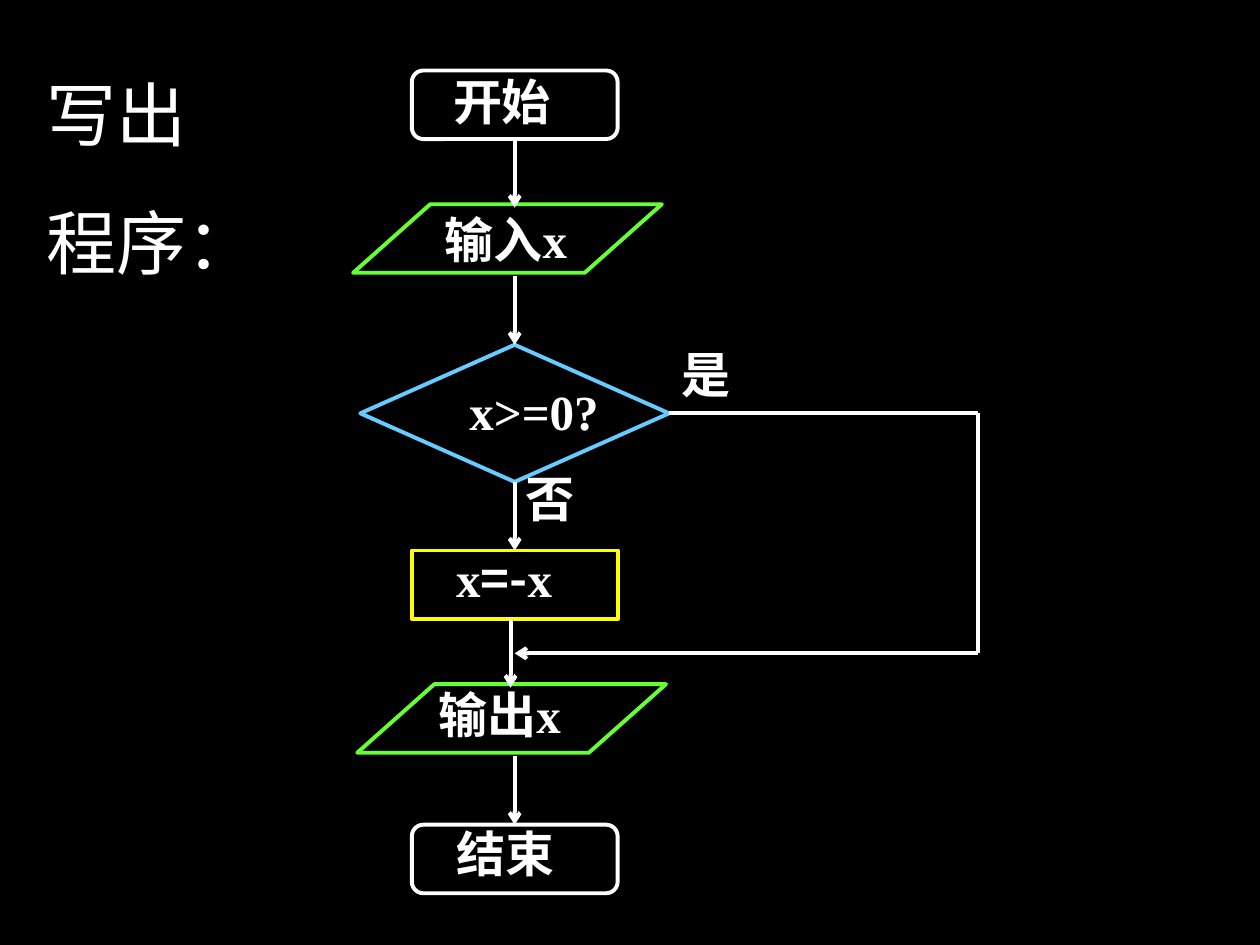
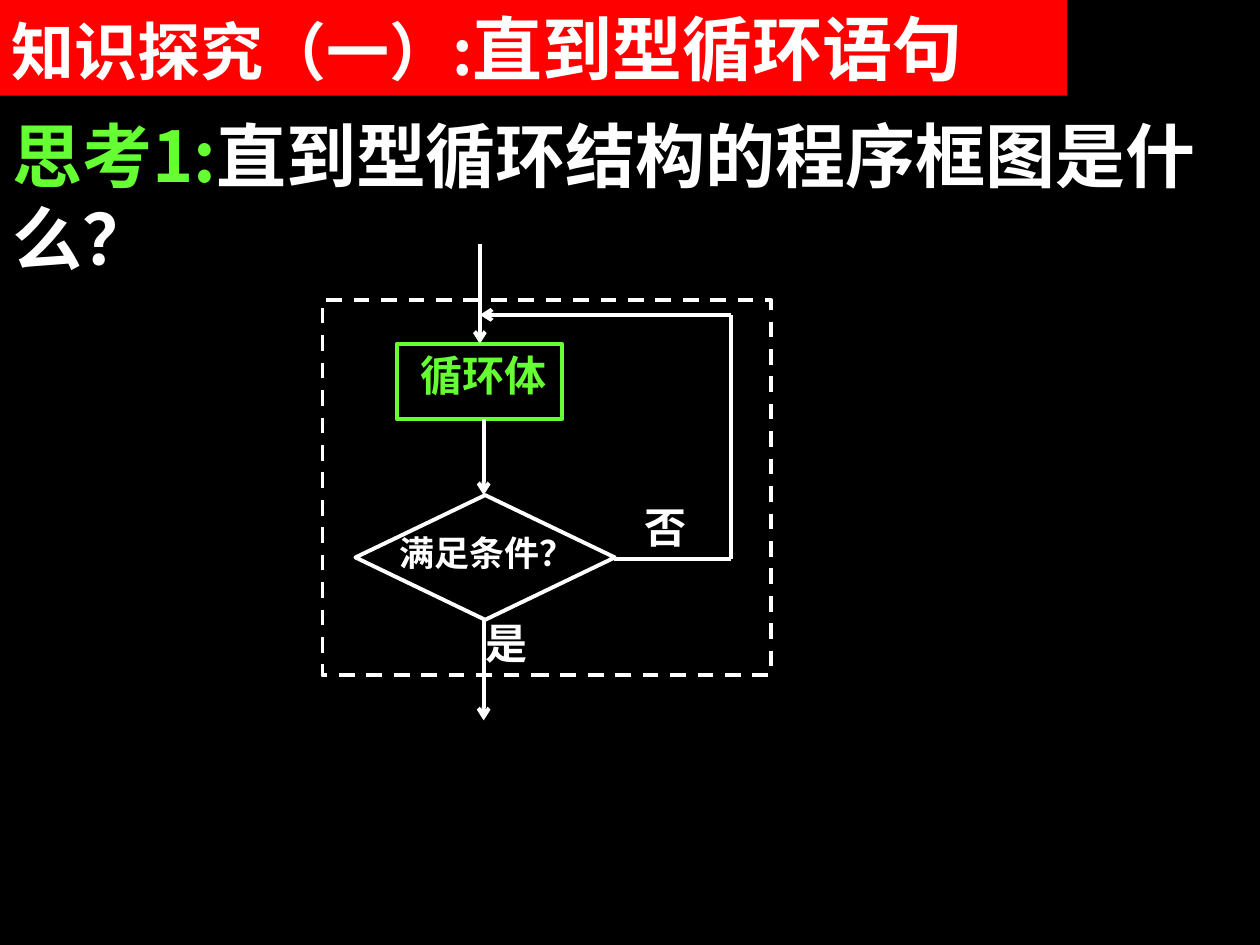
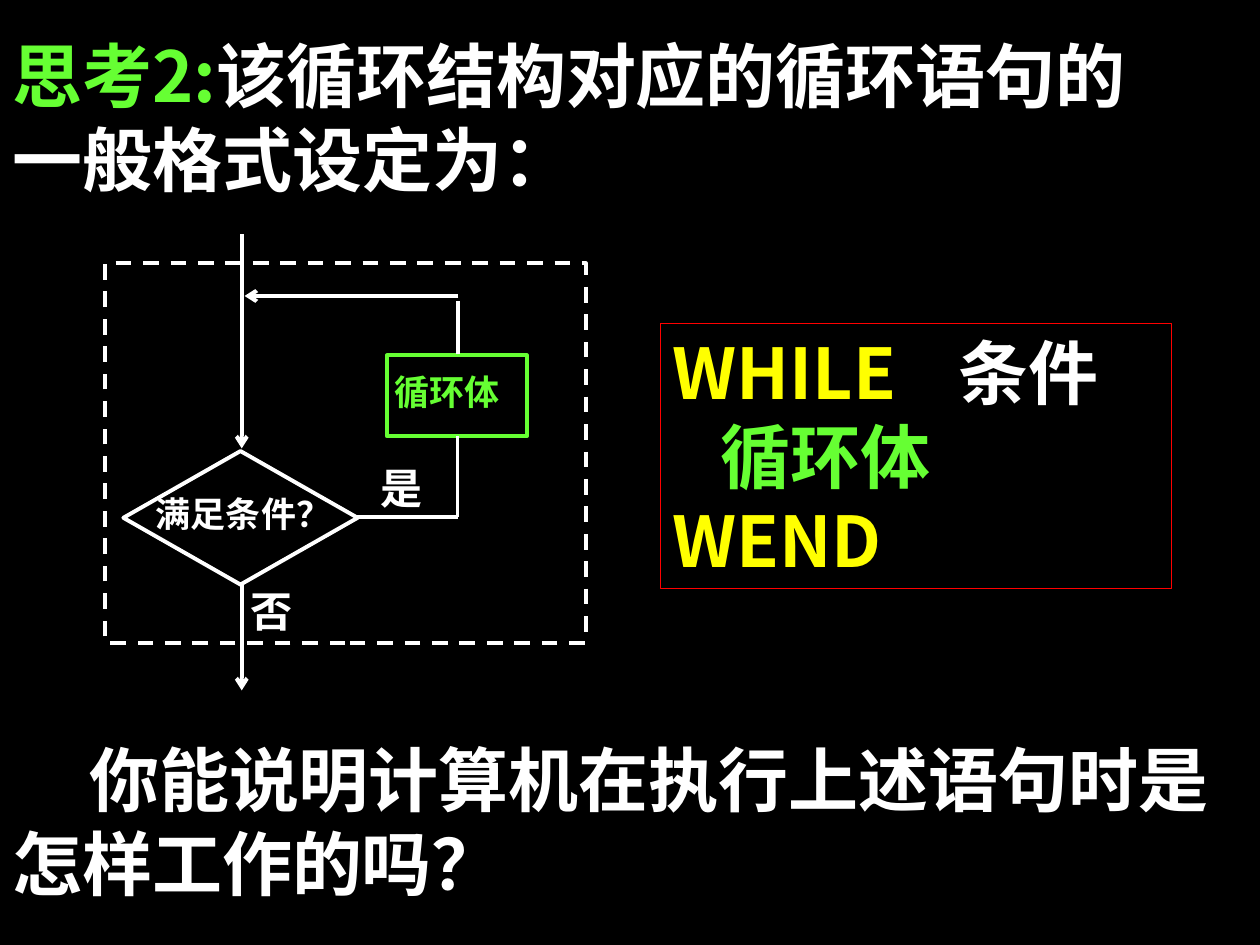
import pptx
import pptx.dml.color
import pptx.enum.dml
import pptx.enum.shapes
import pptx.enum.text
import pptx.oxml.ns
import pptx.util
from lxml import etree

BLACK, WHITE, RED = "000000", "FFFFFF", "FF0000"
GREEN, YELLOW, BLUE = "66FF33", "FFFF00", "66CCFF"
SANS, LATIN, SERIF = "Noto Sans CJK SC", "Arial", "Times New Roman"
HEADING_SIZE = 40
LINE_WIDTH = 2.25
SHAPES = pptx.enum.shapes.MSO_SHAPE
qualified = pptx.oxml.ns.qn


def inches(*lengths):
    return [pptx.util.Inches(length) for length in lengths]


def color(hex_string):
    return pptx.dml.color.RGBColor.from_string(hex_string)


# Text
def write_paragraph(paragraph, runs, size, font=SANS, text_color=WHITE,
                    bold=True, space_before=0, indent=0, tab=None):
    """Each run is (text, overrides); overrides may hold color, font and size."""
    properties = paragraph._p.get_or_add_pPr()
    if indent:
        properties.set("marL", "0")
        properties.set("indent", str(pptx.util.Inches(indent)))
    if tab:
        tab_list = etree.SubElement(properties, qualified("a:tabLst"))
        etree.SubElement(tab_list, qualified("a:tab"),
                         pos=str(pptx.util.Inches(tab)), algn="l")
    paragraph.alignment = pptx.enum.text.PP_ALIGN.LEFT
    paragraph.space_before = pptx.util.Pt(space_before)
    paragraph.font.name = font
    paragraph.font.size = pptx.util.Pt(size)
    paragraph.font.bold = bold
    paragraph.font.color.rgb = color(text_color)
    defaults = properties.find(qualified("a:defRPr"))
    etree.SubElement(defaults, qualified("a:ea"), typeface=SANS)
    for text, overrides in runs:
        run = paragraph.add_run()
        run.text = text
        if "color" in overrides:
            run.font.color.rgb = color(overrides["color"])
        if "font" in overrides:
            run.font.name = overrides["font"]
        if "size" in overrides:
            run.font.size = pptx.util.Pt(overrides["size"])


def write_text(shape, paragraphs, size, gap=0, **style):
    """Fill a shape with paragraphs, each a list of runs."""
    frame = shape.text_frame
    frame.word_wrap = True
    frame.auto_size = pptx.enum.text.MSO_AUTO_SIZE.NONE
    frame.vertical_anchor = pptx.enum.text.MSO_ANCHOR.TOP
    for index, runs in enumerate(paragraphs):
        paragraph = frame.add_paragraph() if index else frame.paragraphs[0]
        write_paragraph(paragraph, runs, size,
                        space_before=gap if index else 0, **style)


def add_title(slide, box, paragraphs, **style):
    title = slide.shapes.title
    title.left, title.top, title.width, title.height = inches(*box)
    write_text(title, paragraphs, HEADING_SIZE, **style)
    return title


def add_text(slide, box, paragraphs, **style):
    shape = slide.shapes.add_textbox(*inches(*box))
    write_text(shape, paragraphs, HEADING_SIZE, **style)


def question(number, text):
    return [(f"思考{number}:", {"color": GREEN}), (text, {})]


def add_outline(slide, kind, box, line_color, width=LINE_WIDTH):
    shape = slide.shapes.add_shape(kind, *inches(*box))
    shape.shadow.inherit = False
    shape.fill.background()
    shape.line.color.rgb = color(line_color)
    shape.line.width = pptx.util.Pt(width)
    return shape


# Flowcharts
class FlowGrid:
    """A box on a slide, split into columns and rows that place its parts."""

    def __init__(self, slide, box, columns, rows, label_size):
        self.slide = slide
        self.left, self.top, width, height = box
        self.column = width / columns
        self.row = height / rows
        self.label_size = label_size

    def point(self, column, row):
        return self.left + column * self.column, self.top + row * self.row

    def box(self, column, row, columns, rows):
        return (*self.point(column, row), columns * self.column, rows * self.row)

    def node(self, kind, cells, line_color=WHITE):
        return add_outline(self.slide, kind, self.box(*cells), line_color)

    def label(self, text, cells, size=None, text_color=WHITE):
        shape = self.slide.shapes.add_textbox(*inches(*self.box(*cells)))
        runs = [(text, {})] if isinstance(text, str) else text
        write_text(shape, [runs], size or self.label_size,
                   font=SERIF, text_color=text_color)

    def path_line(self, *points, arrow=True):
        """Join the points by straight lines, the last with an arrowhead."""
        for index in range(len(points) - 1):
            ends = inches(*self.point(*points[index]),
                          *self.point(*points[index + 1]))
            line = self.slide.shapes.add_connector(
                pptx.enum.shapes.MSO_CONNECTOR.STRAIGHT, *ends)
            line.line.color.rgb = color(WHITE)
            line.line.width = pptx.util.Pt(LINE_WIDTH)
            properties = line._element.spPr
            if arrow and index == len(points) - 2:
                etree.SubElement(line.line._get_or_add_ln(),
                                 qualified("a:tailEnd"), type="arrow")
            etree.SubElement(properties, qualified("a:effectLst"))


def draw_absolute_value_flow(slide, box):
    grid = FlowGrid(slide, box, columns=6, rows=12, label_size=28)
    axis = 1.5
    # Steps
    for row in (0, 11):
        grid.node(SHAPES.ROUNDED_RECTANGLE, (0.5, row, 2, 1))
    for column, row in ((-0.07, 1.95), (-0.03, 8.95)):
        shape = grid.node(SHAPES.PARALLELOGRAM, (column, row, 3, 1), GREEN)
        shape.adjustments[0] = 1.125
    grid.node(SHAPES.DIAMOND, (0, 4, 3, 2), BLUE)
    grid.node(SHAPES.RECTANGLE, (0.5, 7, 2, 1), YELLOW)
    # Arrows
    for row in (1, 3, 6, 10):
        grid.path_line((axis, row), (axis, row + 1))
    grid.path_line((1.46, 8), (1.46, 9))
    grid.path_line((3, 5), (6, 5), (6, 8.5), (axis, 8.5))
    # Labels
    assignment = [("x", {}), ("=-", {"font": SANS}), ("x", {})]
    for text, column, row in (
            ("开始", 0.78, -0.07), ("输入x", 0.7, 1.93), ("x>=0?", 0.94, 4.45),
            ("是", 3, 3.9), ("否", 1.48, 5.72), (assignment, 0.81, 6.88),
            ("输出x", 0.64, 8.86), ("结束", 0.81, 10.89)):
        grid.label(text, (column, row, 1.9, 1))


def start_loop(slide, box):
    grid = FlowGrid(slide, box, columns=12, rows=10, label_size=24)
    frame = grid.node(SHAPES.RECTANGLE, (0, 0, 12, 10))
    frame.line.dash_style = pptx.enum.dml.MSO_LINE.DASH
    return grid


def draw_until_loop(slide, box):
    grid = start_loop(slide, box)
    # Steps
    grid.node(SHAPES.RECTANGLE, (1.99, 1.17, 4.42, 2.01), GREEN)
    grid.node(SHAPES.DIAMOND, (0.88, 5.2, 6.94, 3.32))
    # Arrows
    grid.path_line((4.21, -1.48), (4.21, 1.17))
    grid.path_line((4.31, 3.18), (4.31, 5.2))
    grid.path_line((4.31, 8.52), (4.31, 11.2))
    grid.path_line((7.79, 6.9), (10.93, 6.9), (10.93, 0.4), (4.21, 0.4))
    # Labels
    grid.label("循环体", (2.29, 1.17, 4.62, 2), text_color=GREEN)
    grid.label("满足条件？", (1.72, 6, 5.66, 2), size=20)
    grid.label("是", (4.04, 8.29, 1.9, 2))
    grid.label("否", (8.29, 5.2, 1.9, 2))


def draw_while_loop(slide, box):
    grid = start_loop(slide, box)
    # Steps
    grid.node(SHAPES.RECTANGLE, (7.04, 2.43, 3.49, 2.13), GREEN)
    grid.node(SHAPES.DIAMOND, (0.47, 4.95, 5.84, 3.52))
    # Arrows
    grid.path_line((3.42, -0.76), (3.42, 4.88))
    grid.path_line((3.42, 8.47), (3.42, 11.26))
    grid.path_line((6.28, 6.68), (8.8, 6.68), (8.8, 4.55), arrow=False)
    grid.path_line((8.82, 2.4), (8.82, 1), arrow=False)
    grid.path_line((8.82, 0.86), (3.49, 0.86))
    # Labels
    grid.label("循环体", (6.91, 2.66, 3.96, 2.1), size=20, text_color=GREEN)
    grid.label("满足条件？", (0.97, 5.88, 6.44, 2.1), size=20)
    grid.label("是", (6.57, 5.08, 1.5, 2.1))
    grid.label("否", (3.33, 8.34, 1.5, 2.1))


def draw_while_syntax(slide, box):
    panel = add_outline(slide, SHAPES.RECTANGLE, box, RED, width=0.75)
    write_text(panel, [
        [("WHILE\t", {}), ("条件", {"color": WHITE})],
        [("   循环体", {"color": GREEN})],
        [("WEND", {})],
    ], HEADING_SIZE, text_color=YELLOW, tab=2.27)


# Slides
def build_program_slide(slide):
    add_title(slide, (0.27, 0.52, 1.97, 1.78),
              [[("写出", {})], [("程序：", {})]],
              font=LATIN, bold=False, gap=25)
    draw_absolute_value_flow(slide, (2.86, 0.56, 4.9, 6.53))


def build_until_slide(slide):
    banner = add_title(slide, (-0.01, -0.01, 8.48, 0.77), [[
        ("知识探究（一）", {"size": 36}),
        (":", {"size": 36, "font": SANS}),
        ("直到型循环语句", {}),
    ]], font=LATIN)
    banner.fill.solid()
    banner.fill.fore_color.rgb = color(RED)
    add_text(slide, (0, 0.84, 10, 1.44),
             [question(1, "直到型循环结构的程序框图是什么？")])
    draw_until_loop(slide, (2.56, 2.38, 3.56, 2.98))


def build_while_slide(slide):
    add_title(slide, (0, 0.21, 9.8, 1.44),
              [question(2, "该循环结构对应的循环语句的"),
               [("一般格式设定为：", {})]])
    draw_while_loop(slide, (0.83, 2.09, 3.82, 3.01))
    draw_while_syntax(slide, (5.24, 2.57, 4.06, 2.1))
    add_text(slide, (0, 5.8, 10, 1.44),
             [[("你能说明计算机在执行上述语句时是怎样工作的吗？", {})]],
             font=LATIN, indent=0.61)


def main():
    presentation = pptx.Presentation()
    presentation.slide_width, presentation.slide_height = inches(10, 7.5)
    background = presentation.slide_master.background.fill
    background.solid()
    background.fore_color.rgb = color(BLACK)
    title_only = presentation.slide_layouts[5]
    for build in (build_program_slide, build_until_slide, build_while_slide):
        build(presentation.slides.add_slide(title_only))
    presentation.save("out.pptx")


if __name__ == "__main__":
    main()
